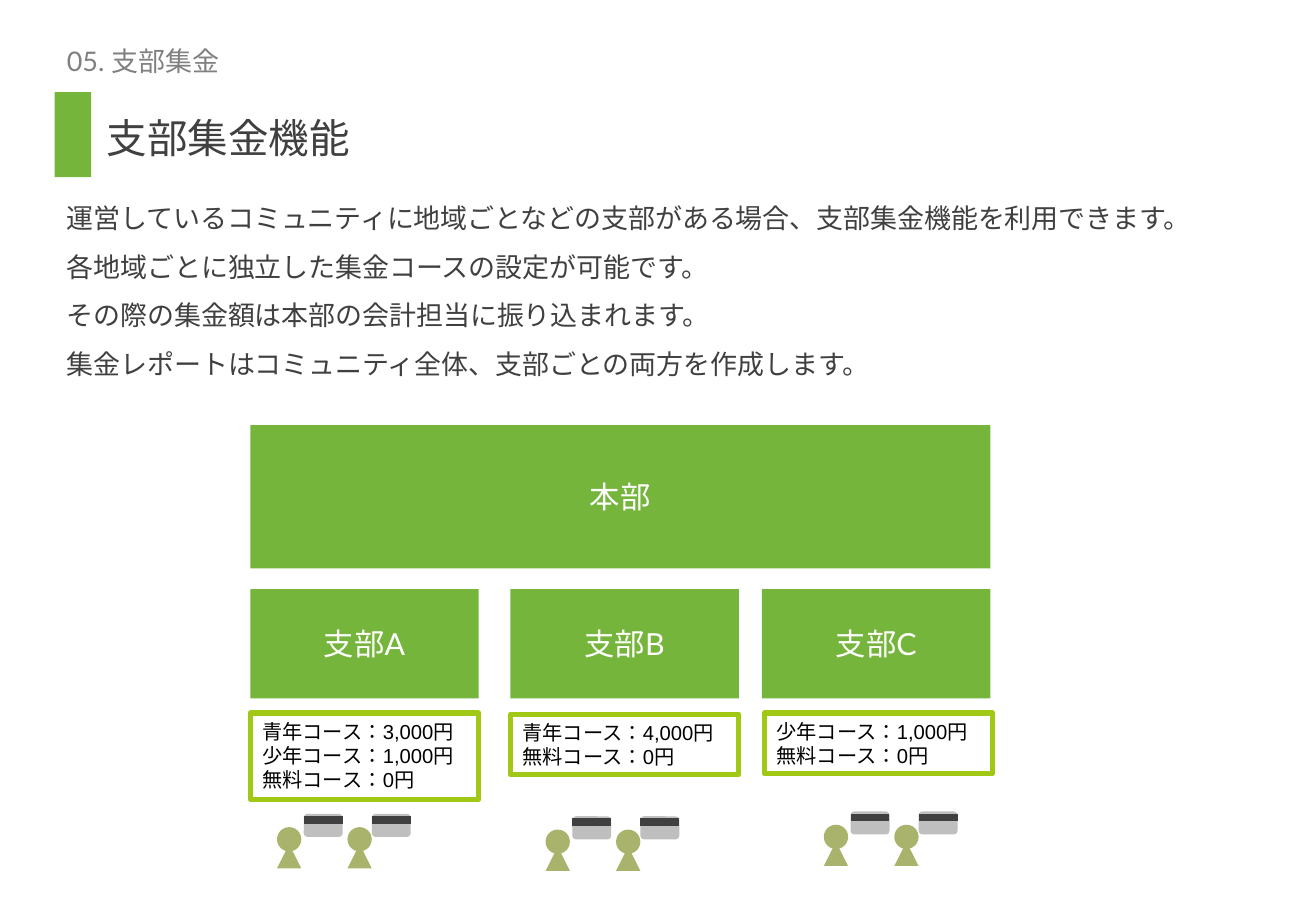
import dataclasses

import pptx
import pptx.dml.color
import pptx.enum.lang
import pptx.enum.shapes
import pptx.enum.text
import pptx.oxml
import pptx.oxml.ns
import pptx.util

Inches = pptx.util.Inches
RGBColor = pptx.dml.color.RGBColor
Shape = pptx.enum.shapes.MSO_SHAPE
Anchor = pptx.enum.text.MSO_ANCHOR
Align = pptx.enum.text.PP_ALIGN
AutoSize = pptx.enum.text.MSO_AUTO_SIZE

GREEN = RGBColor(0x75, 0xB5, 0x3C)
LIME = RGBColor(0xA2, 0xC8, 0x16)
OLIVE = RGBColor(0xAA, 0xB3, 0x6C)
SILVER = RGBColor(0xBF, 0xBF, 0xBF)
GRAY = RGBColor(0x80, 0x80, 0x80)
DARK = RGBColor(0x40, 0x40, 0x40)
WHITE = RGBColor(0xFF, 0xFF, 0xFF)
BLACK = RGBColor(0, 0, 0)

MARGIN, TEXT_WIDTH = 0.45, 9.95
BRANCH_WIDTH = 1.88
PERSON_SIZE, PERSON_PITCH = 0.2, 0.58
CARD_WIDTH, CARD_HEIGHT, CARD_PITCH = 0.32, 0.19, 0.56


@dataclasses.dataclass
class Area:
    left: float
    top: float
    width: float
    height: float

    def lengths(self) -> list[pptx.util.Length]:
        return [Inches(n) for n in (self.left, self.top, self.width, self.height)]


@dataclasses.dataclass
class Style:
    size: float
    font: str
    color: RGBColor
    align: Align = Align.LEFT
    spacing: float = 1.0


@dataclasses.dataclass
class Branch:
    name: str
    left: float
    courses: list[str]
    course_area: Area
    members_left: float
    members_top: float


BRANCHES = [
    Branch("支部A", 2.06, ["青年コース：3,000円", "少年コース：1,000円", "無料コース：0円"],
           Area(2.06, 5.87, BRANCH_WIDTH, 0.71), 2.28, 6.81),
    Branch("支部B", 4.2, ["青年コース：4,000円", "無料コース：0円"],
           Area(4.2, 5.88, BRANCH_WIDTH, 0.5), 4.49, 6.83),
    Branch("支部C", 6.27, ["少年コース：1,000円", "無料コース：0円"],
           Area(6.29, 5.87, BRANCH_WIDTH, 0.5), 6.78, 6.79),
]
EXPLANATION = [
    "運営しているコミュニティに地域ごとなどの支部がある場合、支部集金機能を利用できます。",
    "各地域ごとに独立した集金コースの設定が可能です。",
    "その際の集金額は本部の会計担当に振り込まれます。",
    "集金レポートはコミュニティ全体、支部ごとの両方を作成します。",
]
BLOCK_STYLE = Style(18, "Lato", WHITE, Align.CENTER)
COURSE_STYLE = Style(12, "Arial", BLACK)


def write(box, lines: list[str], style: Style, anchor: Anchor = Anchor.TOP,
          auto_size: AutoSize = AutoSize.NONE) -> None:
    frame = box.text_frame
    frame.word_wrap = True
    frame.auto_size = auto_size
    frame.vertical_anchor = anchor
    for index, line in enumerate(lines):
        para = frame.add_paragraph() if index else frame.paragraphs[0]
        para.alignment = style.align
        para.line_spacing = style.spacing
        span = para.add_run()
        span.text = line
        span.font.size = pptx.util.Pt(style.size)
        span.font.name = style.font
        span.font.color.rgb = style.color
        span.font.language_id = pptx.enum.lang.MSO_LANGUAGE_ID.JAPANESE


def add_filled(shapes, kind: Shape, area: Area, color: RGBColor):
    shape = shapes.add_shape(kind, *area.lengths())
    shape.shadow.inherit = False
    shape.fill.solid()
    shape.fill.fore_color.rgb = color
    shape.line.fill.background()
    return shape


def add_block(page, area: Area, label: str) -> None:
    block = add_filled(page.shapes, Shape.RECTANGLE, area, GREEN)
    write(block, [label], BLOCK_STYLE, Anchor.MIDDLE)


def add_courses(page, branch: Branch) -> None:
    box = page.shapes.add_shape(Shape.RECTANGLE, *branch.course_area.lengths())
    box.shadow.inherit = False
    box.fill.background()
    box.line.color.rgb = LIME
    box.line.width = pptx.util.Pt(3)
    write(box, branch.courses, COURSE_STYLE, auto_size=AutoSize.SHAPE_TO_FIT_TEXT)


def add_person(page, left: float, top: float) -> None:
    shapes = page.shapes.add_group_shape().shapes
    for kind, drop in ((Shape.ISOSCELES_TRIANGLE, 0.14), (Shape.OVAL, 0)):
        add_filled(shapes, kind, Area(left, top + drop, PERSON_SIZE, PERSON_SIZE), OLIVE)


def add_card(page, left: float, top: float) -> None:
    shapes = page.shapes.add_group_shape().shapes
    add_filled(shapes, Shape.ROUNDED_RECTANGLE, Area(left, top, CARD_WIDTH, CARD_HEIGHT), SILVER)
    height = Inches(top + 0.05)
    stripe = shapes.add_connector(pptx.enum.shapes.MSO_CONNECTOR.STRAIGHT, Inches(left), height,
                                  Inches(left + CARD_WIDTH), height)
    stripe.line.color.rgb = DARK
    stripe.line.width = pptx.util.Pt(4.5)
    properties = stripe.element.find(pptx.oxml.ns.qn("p:spPr"))
    properties.append(pptx.oxml.parse_xml(f"<a:effectLst {pptx.oxml.ns.nsdecls('a')}/>"))


def add_branch(page, branch: Branch) -> None:
    add_block(page, Area(branch.left, 4.85, BRANCH_WIDTH, 0.9), branch.name)
    add_courses(page, branch)
    for index in range(2):
        add_person(page, branch.members_left + index * PERSON_PITCH, branch.members_top)
        add_card(page, branch.members_left + 0.22 + index * CARD_PITCH, branch.members_top - 0.11)


def main() -> None:
    deck = pptx.Presentation()
    deck.slide_width, deck.slide_height = Inches(10.83), Inches(7.5)
    page = deck.slides.add_slide(deck.slide_layouts.get_by_name("Title Only"))

    # Title and heading
    title = page.shapes.title
    title.left, title.top, title.width, title.height = Area(MARGIN, 0.32, TEXT_WIDTH, 0.36).lengths()
    write(title, ["05. 支部集金"], Style(16, "Lato", GRAY), Anchor.MIDDLE)
    add_filled(page.shapes, Shape.RECTANGLE, Area(MARGIN, 0.76, 0.3, 0.7), GREEN)
    heading = page.shapes.add_textbox(*Area(MARGIN, 0.68, TEXT_WIDTH, 0.7).lengths())
    write(heading, ["支部集金機能"], Style(24, "Arial", DARK, spacing=1.5), Anchor.BOTTOM)
    heading.text_frame.margin_left = Inches(0.43)

    # Explanation
    body = page.shapes.add_textbox(*Area(MARGIN, 1.48, TEXT_WIDTH, 1.69).lengths())
    write(body, EXPLANATION, Style(16, "Arial", DARK, spacing=1.5),
          auto_size=AutoSize.SHAPE_TO_FIT_TEXT)

    # Headquarters and branches
    add_block(page, Area(2.06, 3.5, 6.09, 1.18), "本部")
    for branch in BRANCHES:
        add_branch(page, branch)

    deck.save("out.pptx")


if __name__ == "__main__":
    main()
